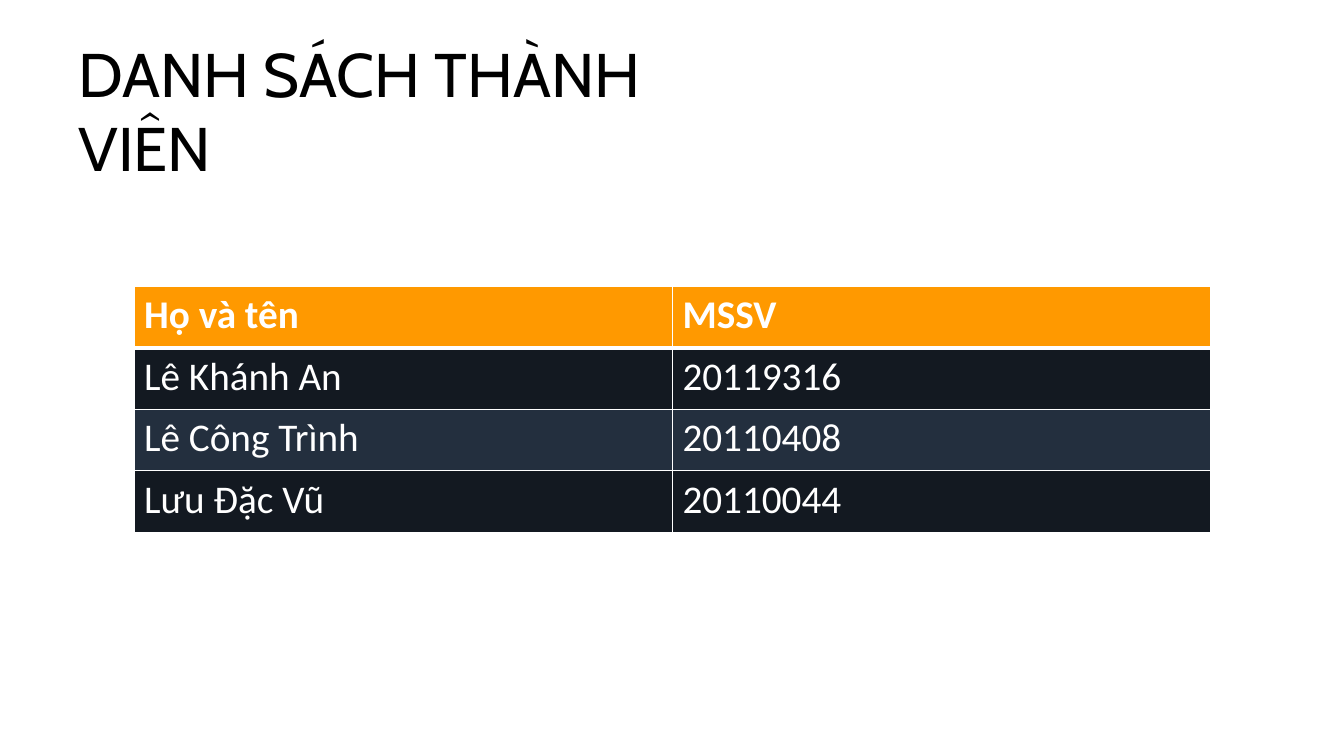
from dataclasses import dataclass

from lxml import etree
from pptx import Presentation
from pptx.dml.color import RGBColor
from pptx.oxml import ns
from pptx.util import Inches, Pt


@dataclass(frozen=True)
class Theme:
    black: str = "000000"
    white: str = "FFFFFF"
    header: str = "FF9900"
    bands: tuple = ("131921", "232F3E")
    title_font: str = "Cabin"
    table_font: str = "Calibri"
    title_size: int = 44
    table_size: int = 28
    thin: int = 1
    thick: int = 3


THEME = Theme()
MEMBERS = [
    ("Họ và tên", "MSSV"),
    ("Lê Khánh An", "20119316"),
    ("Lê Công Trình", "20110408"),
    ("Lưu Đặc Vũ", "20110044"),
]


def write(tf, content, color, **formats):
    r = tf.paragraphs[0].add_run()
    r.text = content
    r.font.color.rgb = RGBColor.from_string(color)
    for name, value in formats.items():
        setattr(r.font, name, value)


def add_title(s, content):
    tf = s.shapes.add_textbox(Inches(0.68), Inches(0.31), Inches(6.86), Inches(0.84)).text_frame
    tf.word_wrap = True
    write(tf, content, THEME.black, name=THEME.title_font, size=Pt(THEME.title_size))


def set_borders(cell, widths):
    """Draw white cell edges; widths maps L, R, T, B, in that order, to points."""
    tc_pr = cell._tc.get_or_add_tcPr()
    for i, (side, width) in enumerate(widths.items()):
        ln = etree.Element(ns.qn(f"a:ln{side}"), w=str(Pt(width)))
        fill = etree.SubElement(ln, ns.qn("a:solidFill"))
        etree.SubElement(fill, ns.qn("a:srgbClr"), val=THEME.white)
        tc_pr.insert(i, ln)


def add_member_table(s, rows):
    row_height = 0.61
    table = s.shapes.add_table(len(rows), len(rows[0]), Inches(1.33), Inches(2.84),
                               Inches(10.68), Inches(row_height * len(rows))).table
    for i, row in enumerate(rows):
        is_header = i == 0
        color = THEME.header if is_header else THEME.bands[(i - 1) % 2]
        widths = dict.fromkeys("LRTB", THEME.thin)
        if is_header:
            widths["B"] = THEME.thick
        elif i == 1:
            widths["T"] = THEME.thick
        for j, content in enumerate(row):
            cell = table.cell(i, j)
            cell.fill.solid()
            cell.fill.fore_color.rgb = RGBColor.from_string(color)
            set_borders(cell, widths)
            write(cell.text_frame, content, THEME.white, name=THEME.table_font,
                  size=Pt(THEME.table_size), bold=is_header)


def main():
    prs = Presentation()
    prs.slide_width, prs.slide_height = Inches(13.33), Inches(7.5)
    s = prs.slides.add_slide(prs.slide_layouts[6])
    add_title(s, "DANH SÁCH THÀNH VIÊN")
    add_member_table(s, MEMBERS)
    prs.save("out.pptx")


if __name__ == "__main__":
    main()
